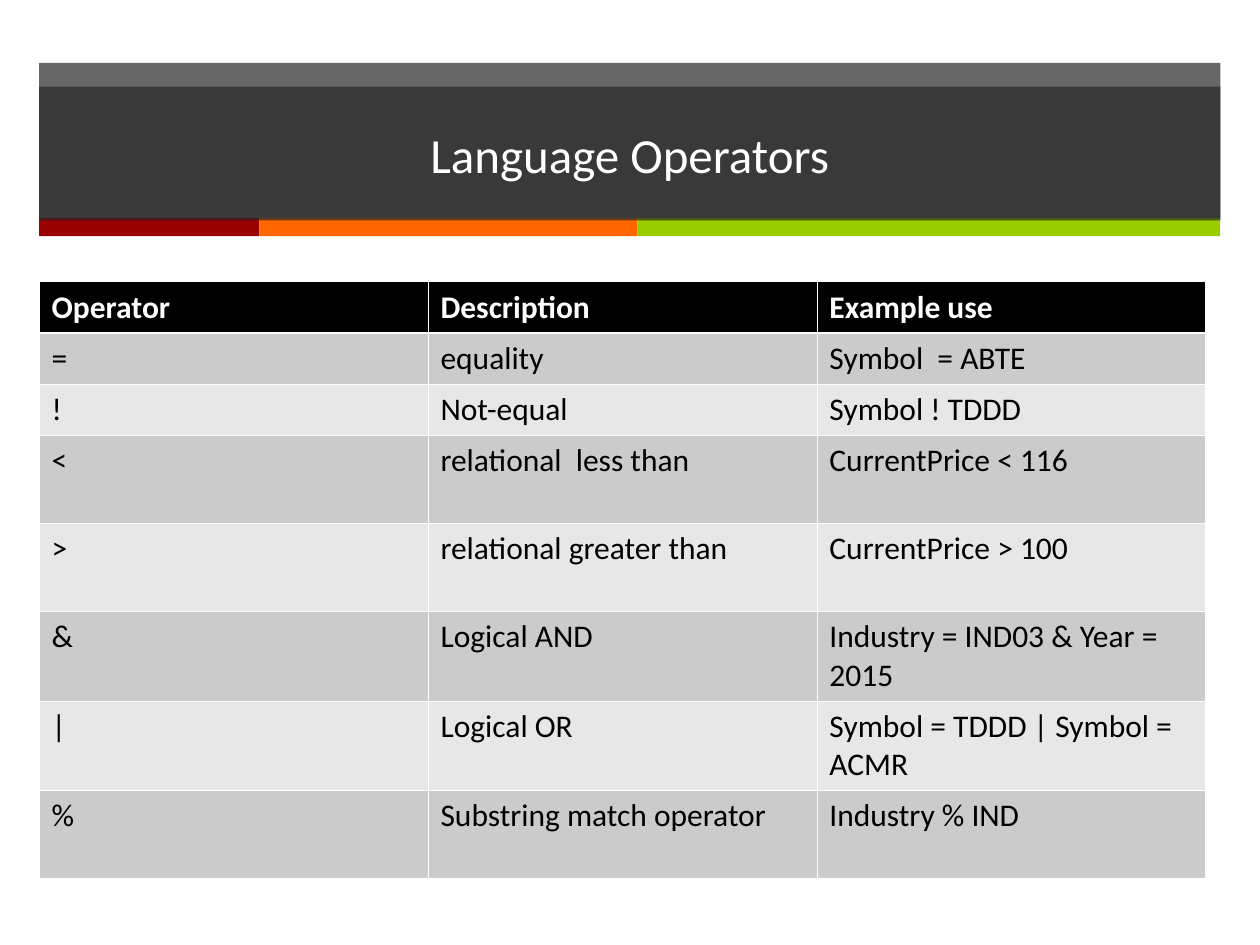
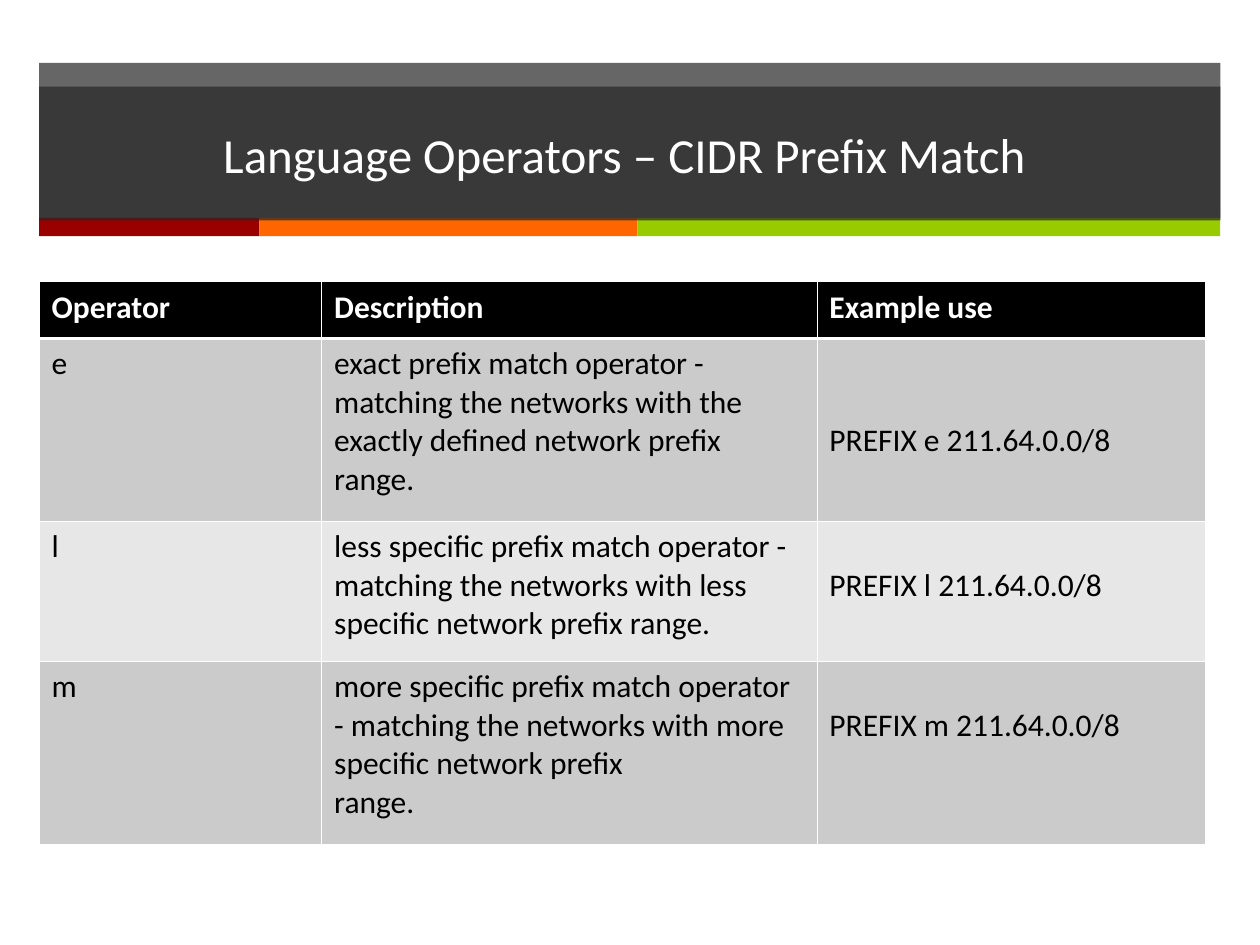
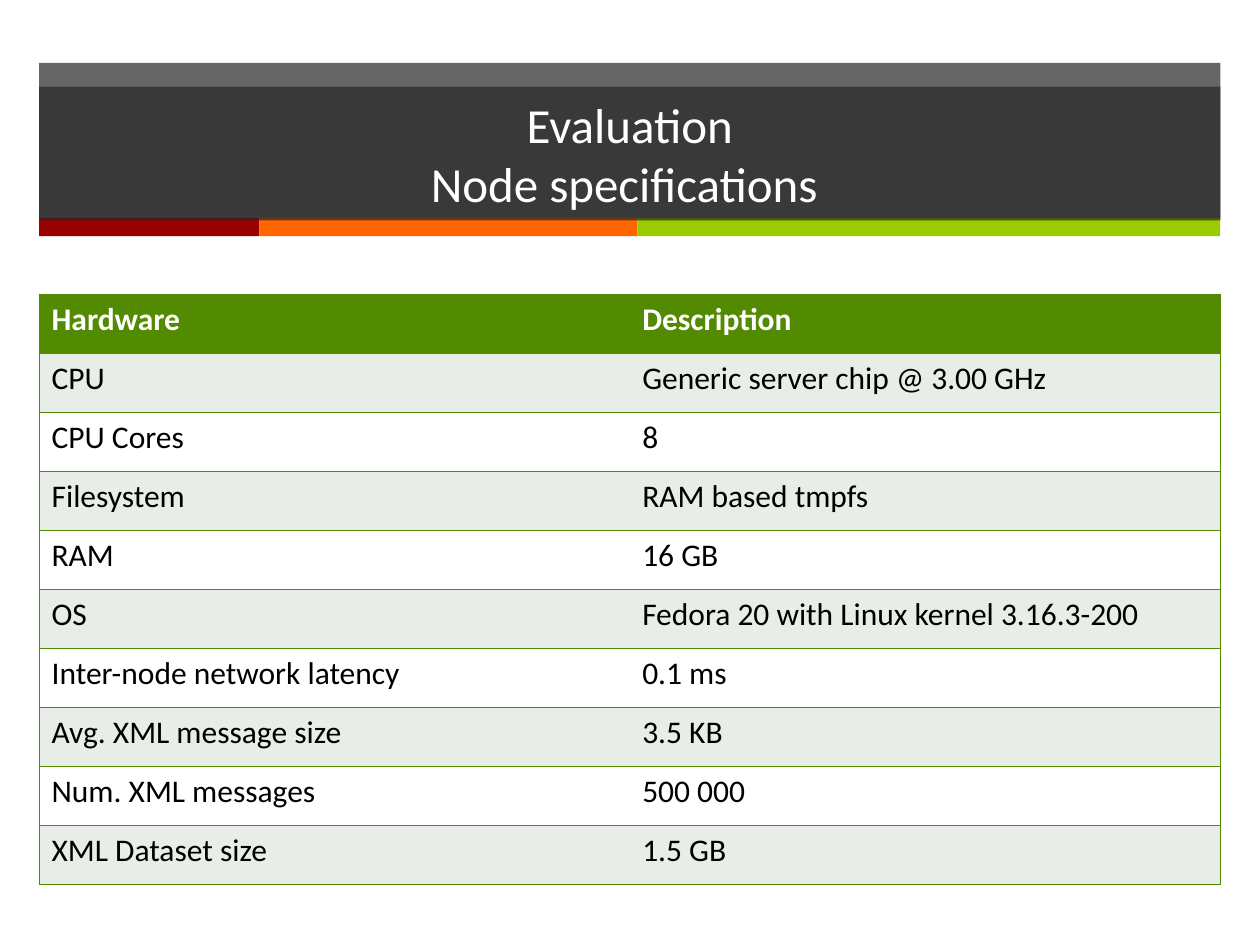
"""Build three table slides on language operators and node specifications."""
from dataclasses import dataclass

from lxml import etree
from pptx import Presentation
from pptx import util as u
from pptx.dml.color import RGBColor
from pptx.enum import shapes, text
from pptx.oxml.ns import qn


@dataclass(frozen=True)
class Theme:
    font: str = "Calibri"
    title_size: int = 28
    body_size: int = 18
    band: str = "262626"
    band_alpha: int = 70000
    stripes: tuple = (("990000", 126), ("FF6600", 216), ("99CC00", 333))
    white: str = "FFFFFF"
    black: str = "000000"
    odd_gray: str = "CBCBCB"
    even_gray: str = "E7E7E7"
    green: str = "528A02"
    pale_green: str = "E9EDE7"
    thin: float = 0.45
    thick: float = 1.47


THEME = Theme()
LEFT, WIDTH = 22.3, 675
LINE = 22

GRAY_STYLE = {
    "header": THEME.black,
    "rows": (THEME.odd_gray, THEME.even_gray),
    "border": THEME.white,
    "header_line": THEME.thick,
    "inner_verticals": True,
}
GREEN_STYLE = {
    "header": THEME.green,
    "rows": (THEME.pale_green, THEME.white),
    "border": THEME.green,
    "header_line": THEME.thin,
    "inner_verticals": False,
}

SLIDES = [
    {
        "title": "Language Operators",
        "style": GRAY_STYLE,
        "top": 161,
        "columns": [222.25] * 3,
        "heights": [29.2] * 3 + [50.4] * 5,
        "lowered": {},
        "rows": [
            ("Operator", "Description", "Example use"),
            ("=", "equality", "Symbol  = ABTE"),
            ("!", "Not-equal", "Symbol ! TDDD"),
            ("<", "relational  less than", "CurrentPrice < 116"),
            (">", "relational greater than", "CurrentPrice > 100"),
            ("&", "Logical AND", "Industry = IND03 & Year = 2015"),
            ("|", "Logical OR", "Symbol = TDDD | Symbol = ACMR"),
            ("%", "Substring match operator", "Industry % IND"),
        ],
    },
    {
        "title": "Language Operators – CIDR Preﬁx Match ",
        "style": GRAY_STYLE,
        "top": 161,
        "columns": [161.5, 283, 222.25],
        "heights": [32.5, 104.5, 80, 104.5],
        "lowered": {(1, 2): 2, (2, 2): 1, (3, 2): 1},
        "rows": [
            ("Operator", "Description", "Example use"),
            ("e", "exact preﬁx match operator - matching the networks with the "
                  "exactly deﬁned network preﬁx range.", "PREFIX e 211.64.0.0/8"),
            ("l", "less speciﬁc preﬁx match operator - matching the networks with "
                  "less speciﬁc network preﬁx range.", "PREFIX l 211.64.0.0/8"),
            ("m", "more speciﬁc preﬁx match operator - matching the networks with "
                  "more speciﬁc network preﬁx\nrange.", "PREFIX m 211.64.0.0/8"),
        ],
    },
    {
        "title": "Evaluation\nNode specifications ",
        "style": GREEN_STYLE,
        "top": 168,
        "columns": [WIDTH / 2] * 2,
        "heights": [33.75] * 10,
        "lowered": {},
        "rows": [
            ("Hardware", "Description"),
            ("CPU", "Generic server chip @ 3.00 GHz"),
            ("CPU Cores", "8"),
            ("Filesystem", "RAM based tmpfs"),
            ("RAM", "16 GB"),
            ("OS", "Fedora 20 with Linux kernel 3.16.3-200"),
            ("Inter-node network latency", "0.1 ms"),
            ("Avg. XML message size", "3.5 KB"),
            ("Num. XML messages", "500 000"),
            ("XML Dataset size", "1.5 GB"),
        ],
    },
]


def add_rectangle(slide, left, top, width, height, color, alpha=None):
    shape = slide.shapes.add_shape(
        shapes.MSO_SHAPE.RECTANGLE, u.Pt(left), u.Pt(top), u.Pt(width), u.Pt(height))
    shape.shadow.inherit = False
    shape.line.fill.background()
    shape.fill.solid()
    shape.fill.fore_color.rgb = RGBColor.from_string(color)
    if alpha:
        fill_color = shape._element.spPr.find(f"{qn('a:solidFill')}/{qn('a:srgbClr')}")
        etree.SubElement(fill_color, qn("a:alpha"), val=str(alpha))
    return shape


def format_text(text_frame, size, color, bold=False):
    for paragraph in text_frame.paragraphs:
        for run in paragraph.runs:
            run.font.name = THEME.font
            run.font.size = u.Pt(size)
            run.font.bold = bold
            run.font.color.rgb = RGBColor.from_string(color)


presentation = Presentation()
presentation.slide_width = u.Pt(720)
presentation.slide_height = u.Pt(540)

for content in SLIDES:
    slide = presentation.slides.add_slide(presentation.slide_layouts[6])

    add_rectangle(slide, LEFT, 36, WIDTH, 89, THEME.band, THEME.band_alpha)
    stripe_left = LEFT
    for stripe_color, stripe_width in THEME.stripes:
        add_rectangle(slide, stripe_left, 124.5, stripe_width, 10.5, stripe_color)
        stripe_left += stripe_width

    title = add_rectangle(slide, LEFT, 49.5, WIDTH, 76.5, THEME.band, THEME.band_alpha)
    title.text_frame.text = content["title"]
    title.text_frame.word_wrap = True
    title.text_frame.vertical_anchor = text.MSO_ANCHOR.MIDDLE
    for paragraph in title.text_frame.paragraphs:
        paragraph.alignment = text.PP_ALIGN.CENTER
    format_text(title.text_frame, THEME.title_size, THEME.white)

    style, rows = content["style"], content["rows"]
    columns, heights = content["columns"], content["heights"]
    table = slide.shapes.add_table(
        len(rows), len(columns), u.Pt(LEFT), u.Pt(content["top"]),
        u.Pt(sum(columns)), u.Pt(sum(heights))).table
    for column, width in zip(table.columns, columns):
        column.width = u.Pt(width)
    for row, height in zip(table.rows, heights):
        row.height = u.Pt(height)

    for row_index, row_texts in enumerate(rows):
        is_header = row_index == 0
        fill = style["header"] if is_header else style["rows"][(row_index - 1) % 2]
        for column_index, cell_text in enumerate(row_texts):
            cell = table.cell(row_index, column_index)
            cell.text_frame.text = cell_text
            format_text(cell.text_frame, THEME.body_size,
                        THEME.white if is_header else THEME.black, is_header)
            lowered_lines = content["lowered"].get((row_index, column_index), 0)
            cell.margin_top = u.Pt(3.6 + lowered_lines * LINE)

            inner = style["inner_verticals"]
            borders = {
                "a:lnL": THEME.thin if inner or column_index == 0 else 0,
                "a:lnR": THEME.thin if inner or column_index == len(columns) - 1 else 0,
                "a:lnT": style["header_line"] if row_index == 1 else THEME.thin,
                "a:lnB": style["header_line"] if is_header else THEME.thin,
            }
            properties = cell._tc.get_or_add_tcPr()
            for side, line_width in borders.items():
                line = etree.SubElement(properties, qn(side), w=str(u.Pt(line_width)))
                if line_width:
                    line_fill = etree.SubElement(line, qn("a:solidFill"))
                    etree.SubElement(line_fill, qn("a:srgbClr"), val=style["border"])
                else:
                    etree.SubElement(line, qn("a:noFill"))
            cell.fill.solid()
            cell.fill.fore_color.rgb = RGBColor.from_string(fill)

presentation.save("out.pptx")
